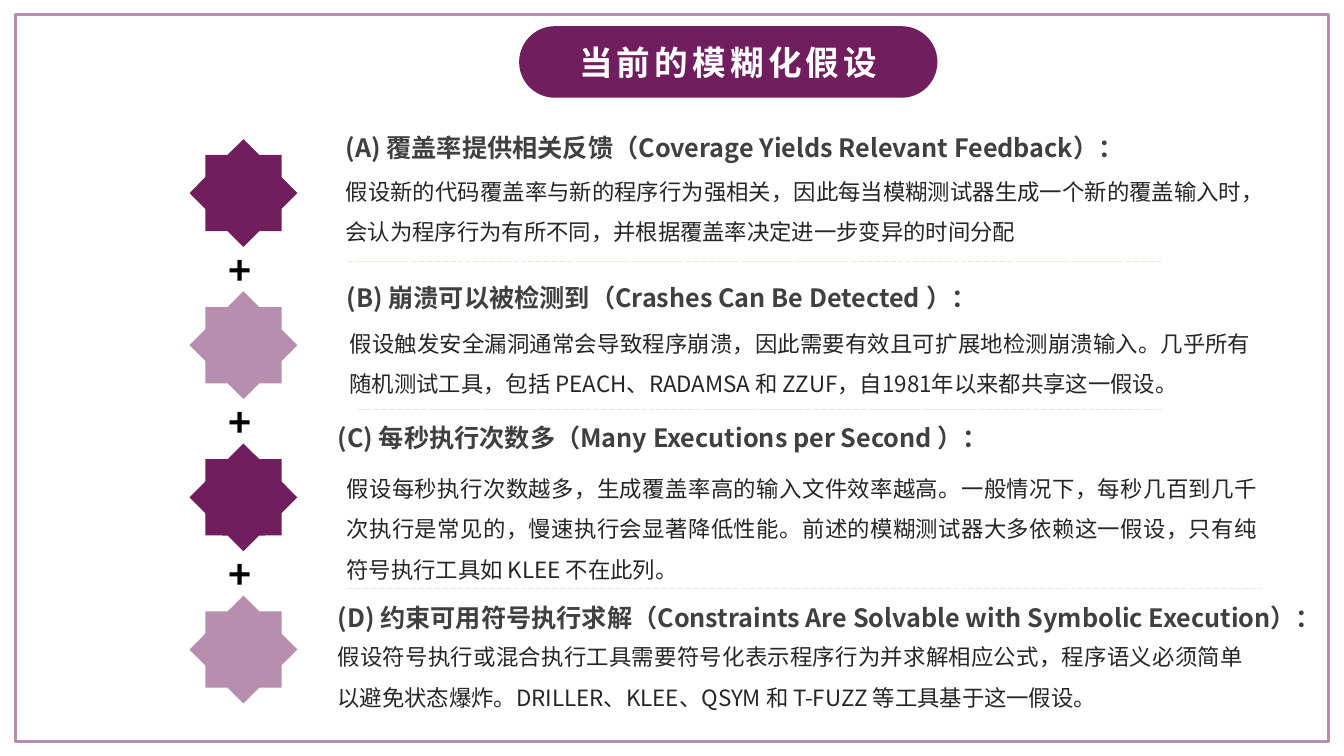
from pptx import Presentation
from pptx import util as u
from pptx.dml import color, fill, line
from pptx.enum import dml, shapes, text
from pptx.oxml import ns
from lxml import etree

Pt = u.Pt
FONT = "Noto Sans CJK SC"
COLORS = {"plum": "701E5E", "mauve": "B78EAE", "heading": "404040", "body": "262626",
          "rule": "EFE6E1", "white": "FFFFFF", "black": "000000"}
TITLE = {"size": Pt(24), "bold": True}
HEADING = {"size": Pt(18), "bold": True}
BODY = {"size": Pt(16), "bold": False}
PLUS = {"size": Pt(28), "bold": True}

# Each assumption: heading, its box, body, its box (left, top, width, height in points)
ASSUMPTIONS = [
    ("(A) 覆盖率提供相关反馈（Coverage Yields Relevant Feedback）：", (239.8, 90.7, 609.8, 28.8),
     "假设新的代码覆盖率与新的程序行为强相关，因此每当模糊测试器生成一个新的覆盖输入时，"
     "会认为程序行为有所不同，并根据覆盖率决定进一步变异的时间分配", (239.8, 114.5, 671, 60.5)),
    ("(B) 崩溃可以被检测到（Crashes Can Be Detected ）：", (240.5, 198, 520.6, 28.8),
     "假设触发安全漏洞通常会导致程序崩溃，因此需要有效且可扩展地检测崩溃输入。几乎所有"
     "随机测试工具，包括 PEACH、RADAMSA 和 ZZUF，自1981年以来都共享这一假设。",
     (242.6, 223.2, 658.8, 60.5)),
    ("(C) 每秒执行次数多（Many Executions per Second ）：", (234, 298.1, 527, 28.8),
     "假设每秒执行次数越多，生成覆盖率高的输入文件效率越高。一般情况下，每秒几百到几千"
     "次执行是常见的，慢速执行会显著降低性能。前述的模糊测试器大多依赖这一假设，只有纯"
     "符号执行工具如 KLEE 不在此列。", (240.5, 326.9, 665.3, 90)),
    ("(D) 约束可用符号执行求解（Constraints Are Solvable with Symbolic Execution）：",
     (234, 427, 718.6, 28.8),
     "假设符号执行或混合执行工具需要符号化表示程序行为并求解相应公式，程序语义必须简单"
     "以避免状态爆炸。DRILLER、KLEE、QSYM 和 T-FUZZ 等工具基于这一假设。",
     (234, 447.1, 661.7, 60.5)),
]
RULES = [(248.4, 830.2, 186.5), (255.6, 830.2, 292.3), (248.4, 901.4, 420.5)]


def rgb(name):
    return color.RGBColor.from_string(COLORS[name])


def points(box):
    return [Pt(length) for length in box]


def write(frame, words, font, tint, align=text.PP_ALIGN.LEFT, spacing=None, tracking=None):
    para = frame.paragraphs[0]
    para.alignment = align
    if spacing:
        para.line_spacing = spacing
    span = para.add_run()
    span.text = words
    for name, value in {**font, "name": FONT}.items():
        setattr(span.font, name, value)
    span.font.color.rgb = rgb(tint)
    props = span._r.get_or_add_rPr()
    etree.SubElement(props, ns.qn("a:ea")).set("typeface", FONT)
    if tracking:
        props.set("spc", str(tracking))


def add_label(page, box, words, font, tint, wrap=True, inset=3.6, **layout):
    frame = page.shapes.add_textbox(*points(box)).text_frame
    settings = {"word_wrap": wrap, "auto_size": text.MSO_AUTO_SIZE.SHAPE_TO_FIT_TEXT,
                "margin_top": Pt(inset), "margin_bottom": Pt(inset)}
    for name, value in settings.items():
        setattr(frame, name, value)
    write(frame, words, font, tint, **layout)


def add_solid(page, kind, box, tint, adjustment):
    shape = page.shapes.add_shape(kind, *points(box))
    shape.shadow.inherit = False
    shape.adjustments[0] = adjustment
    shape.fill.solid()
    shape.fill.fore_color.rgb = rgb(tint)
    shape.line.fill.background()
    return shape


def add_border(page, box):
    border = page.shapes.add_shape(shapes.MSO_SHAPE.RECTANGLE, *points(box))
    border.shadow.inherit = False
    border.fill.background()
    border.line.color.rgb = rgb("mauve")
    border.line.width = Pt(2.25)


def add_title(page, box):
    pill = add_solid(page, shapes.MSO_SHAPE.ROUNDED_RECTANGLE, box, "plum", 0.5)
    pill.text_frame.vertical_anchor = text.MSO_ANCHOR.MIDDLE
    write(pill.text_frame, "当前的模糊化假设", TITLE, "white",
          align=text.PP_ALIGN.CENTER, tracking=300)


def add_star_column(page, left, top, size=77, pitch=108.7):
    for index in range(len(ASSUMPTIONS)):
        y = top + index * pitch
        if index:
            add_label(page, (left + 20.9, y - 36, 36, 41), "+", PLUS, "black", wrap=False)
        add_solid(page, shapes.MSO_SHAPE.STAR_8_POINT, (left, y, size, size),
                  ("plum", "mauve")[index % 2], 0.383)


def add_assumption(page, heading, heading_box, body, body_box):
    add_label(page, heading_box, heading, HEADING, "heading")
    add_label(page, body_box, body, BODY, "body", inset=2.9,
              align=text.PP_ALIGN.JUSTIFY, spacing=1.5)


def add_rule(page, left, right, y):
    rule = page.shapes.add_connector(shapes.MSO_CONNECTOR.STRAIGHT, *points((left, y, right, y)))
    rule.line.color.rgb = rgb("rule")
    rule.line.width = Pt(0.5)
    rule.line.dash_style = dml.MSO_LINE.LONG_DASH
    etree.SubElement(rule._element.spPr, ns.qn("a:effectLst"))


def main():
    deck = Presentation()
    deck.slide_width, deck.slide_height = Pt(960), Pt(540)
    page = deck.slides.add_slide(deck.slide_layouts[6])
    add_border(page, (10.8, 10.1, 938.2, 519.8))
    add_title(page, (370.8, 18.7, 298.8, 51.1))
    for assumption in ASSUMPTIONS:
        add_assumption(page, *assumption)
    add_star_column(page, 135.4, 99.4)
    for rule in RULES:
        add_rule(page, *rule)
    deck.save("out.pptx")


if __name__ == "__main__":
    main()
